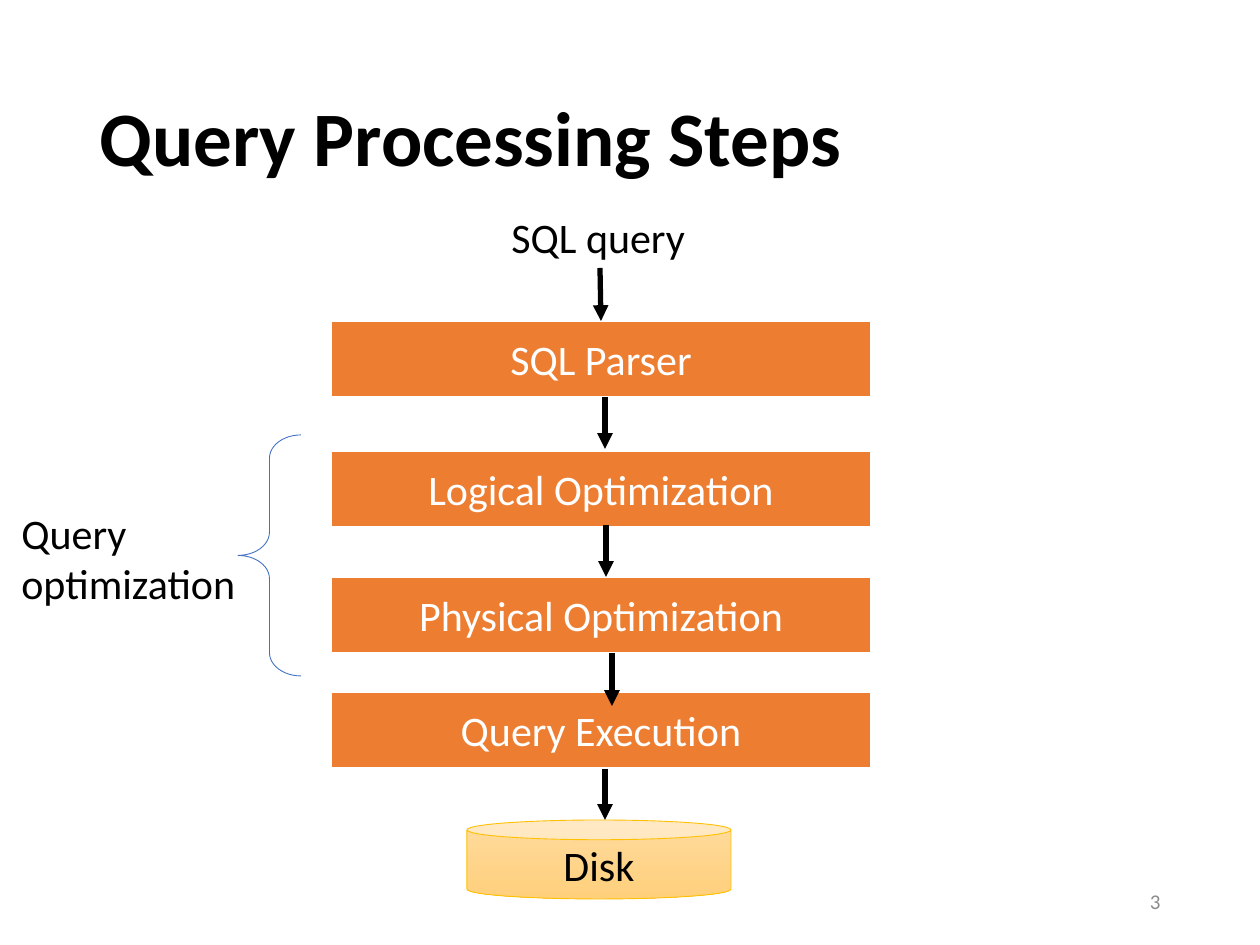
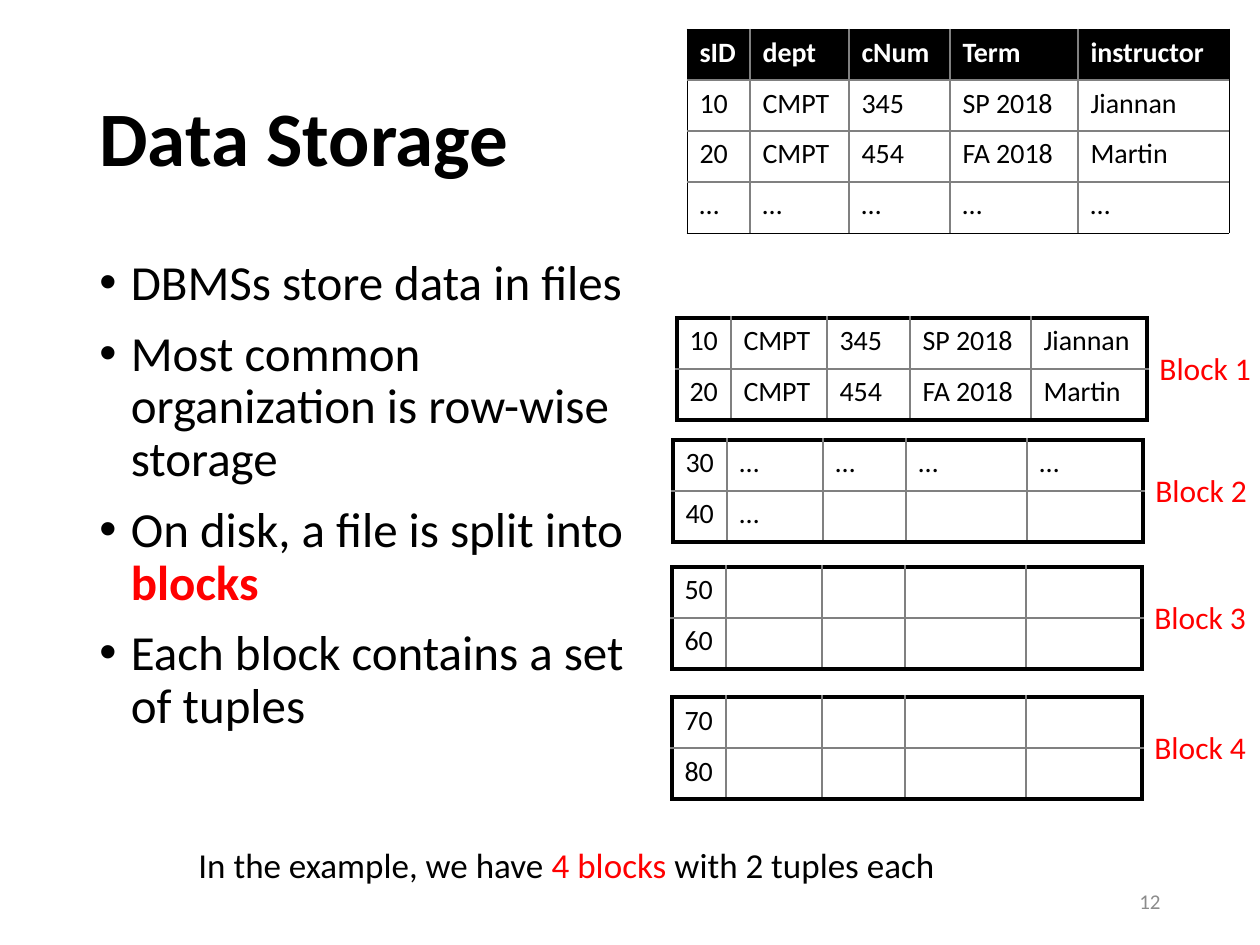
from lxml import etree
from pptx import Presentation
from pptx.dml.color import RGBColor
from pptx.enum.shapes import MSO_CONNECTOR as Connector, MSO_SHAPE as Shape
from pptx.enum.text import MSO_ANCHOR as Anchor, MSO_AUTO_SIZE as AutoSize, PP_ALIGN as Align
from pptx.oxml.ns import qn
from pptx.util import Pt

EMU_PER_PX = 914400 / 126
FONT = "Calibri"
COLORS = {
    "text": "000000", "paper": "FFFFFF", "accent": "FF0000", "number": "8C8C8C",
    "step": "ED7D31", "brace": "4472C4", "grid": "808080",
    "disk_top": "FFDB9E", "disk_bottom": "FFD07C", "disk_edge": "FFC000",
}
STEPS = [("SQL Parser", 321), ("Logical Optimization", 451),
         ("Physical Optimization", 577), ("Query Execution", 692)]
FLOW = [(600, 268, 601, 321), (605, 397, 605, 449), (606, 525, 606, 577),
        (612, 653, 612, 706), (605, 769, 605, 820)]
COURSES = [["sID", "dept", "cNum", "Term", "instructor"],
           ["10", "CMPT", "345", "SP 2018", "Jiannan"],
           ["20", "CMPT", "454", "FA 2018", "Martin"],
           ["…"] * 5]
COURSE_WIDTHS = [63, 99, 101, 128, 151]
BLOCKS = [(677, 318, COURSES[1:3]),
          (673, 440, [["30"] + ["…"] * 4, ["40", "…", "", "", ""]]),
          (672, 567, [["50"] + [""] * 4, ["60"] + [""] * 4]),
          (672, 697, [["70"] + [""] * 4, ["80"] + [""] * 4])]
BLOCK_WIDTHS = [54, 96, 83, 121, 116]
ROW_HEIGHT = 51
# Text between asterisks is highlighted.
POINTS = ["DBMSs store data in files",
          "Most common organization is row-wise storage",
          "On disk, a file is split into *blocks*",
          "Each block contains a set of tuples"]


def px(*lengths):
    """Turn pixel lengths into EMU."""
    return [round(length * EMU_PER_PX) for length in lengths]


def rgb(name):
    """Look up a named colour."""
    return RGBColor.from_string(COLORS[name])


def write(frame, lines, size, color="text", bold=False, align=Align.LEFT, bold_highlight=False):
    """Fill a text frame, one paragraph a line, with highlighted parts."""
    for index, line in enumerate(lines):
        paragraph = frame.add_paragraph() if index else frame.paragraphs[0]
        paragraph.alignment = align
        for part, words in enumerate(line.split("*")):
            if not words:
                continue
            highlighted = part % 2 == 1
            run = paragraph.add_run()
            run.text = words
            run.font.name, run.font.size = FONT, Pt(size)
            run.font.bold = bold or (highlighted and bold_highlight)
            run.font.color.rgb = rgb("accent" if highlighted else color)


def add_text(slide, box, lines, size, anchor=Anchor.TOP, wrap=True, grow=False, **style):
    """Add a text box and return its frame."""
    frame = slide.shapes.add_textbox(*px(*box)).text_frame
    frame.word_wrap = wrap
    frame.auto_size = AutoSize.SHAPE_TO_FIT_TEXT if grow else AutoSize.NONE
    frame.vertical_anchor = anchor
    write(frame, lines, size, **style)
    return frame


def add_label(slide, box, lines, size, **style):
    """Add an unwrapped label that fits its text."""
    add_text(slide, box, lines, size, wrap=False, grow=True, **style)


def add_outlined(slide, kind, box, edge, weight):
    """Add a preset shape with an outline and no shadow."""
    shape = slide.shapes.add_shape(kind, *px(*box))
    shape.shadow.inherit = False
    shape.line.color.rgb = rgb(edge)
    shape.line.width = Pt(weight)
    return shape


def add_step(slide, name, top):
    """Add one processing step."""
    step = add_outlined(slide, Shape.RECTANGLE, (331, top, 540, 76), "paper", 1.5)
    step.fill.solid()
    step.fill.fore_color.rgb = rgb("step")
    step.text_frame.vertical_anchor = Anchor.MIDDLE
    write(step.text_frame, [name], 24, "paper", align=Align.CENTER)


def add_disk(slide):
    """Add the disk as a shaded can."""
    disk = add_outlined(slide, Shape.CAN, (467, 820, 264, 79), "disk_edge", 0.5)
    disk.fill.gradient()
    disk.fill.gradient_angle = 270
    for stop, position, color in zip(disk.fill.gradient_stops, (0, 1), ("disk_top", "disk_bottom")):
        stop.position = position
        stop.color.rgb = rgb(color)
    disk.text_frame.vertical_anchor = Anchor.MIDDLE
    write(disk.text_frame, ["Disk"], 24, align=Align.CENTER)


def add_brace(slide):
    """Add the brace that groups the optimization steps."""
    brace = add_outlined(slide, Shape.LEFT_BRACE, (238, 435, 63, 241), "brace", 0.5)
    brace.fill.background()
    brace.adjustments[0] = 0.37
    brace.adjustments[1] = 0.5


def add_arrow(slide, ends):
    """Add an arrow between two points."""
    arrow = slide.shapes.add_connector(Connector.STRAIGHT, *px(*ends))
    arrow.line.color.rgb = rgb("text")
    arrow.line.width = Pt(3)
    etree.SubElement(arrow.line._get_or_add_ln(), qn("a:tailEnd"), type="triangle")
    etree.SubElement(arrow._element.spPr, qn("a:effectLst"))


def set_borders(cell, borders):
    """Draw the left, right, top and bottom borders of a cell."""
    properties = cell._tc.get_or_add_tcPr()
    for index, (side, (color, weight)) in enumerate(zip("LRTB", borders)):
        line = etree.Element(qn(f"a:ln{side}"), w=str(Pt(weight)))
        fill = etree.SubElement(line, qn("a:solidFill"))
        etree.SubElement(fill, qn("a:srgbClr"), val=COLORS[color])
        properties.insert(index, line)


def add_grid(slide, left, top, rows, widths, frame_weight, header=False):
    """Add a table with a black frame and grey inner lines."""
    box = px(left, top, sum(widths), ROW_HEIGHT * len(rows))
    table = slide.shapes.add_table(len(rows), len(widths), *box).table
    table.first_row = table.horz_banding = False
    for column, width in zip(table.columns, px(*widths)):
        column.width = width
    for r, row in enumerate(rows):
        table.rows[r].height = px(ROW_HEIGHT)[0]
        for c, value in enumerate(row):
            cell = table.cell(r, c)
            is_head = header and r == 0
            if is_head:
                cell.fill.solid()
                cell.fill.fore_color.rgb = rgb("text")
            else:
                cell.fill.background()
            write(cell.text_frame, [value], 16, "paper" if is_head else "text", bold=is_head)
            outer = (c == 0, c == len(row) - 1, r == 0, r == len(rows) - 1)
            set_borders(cell, [("text", frame_weight) if edge else ("grid", 1) for edge in outer])


def add_bullets(slide, box, points):
    """Add the bulleted list."""
    frame = add_text(slide, box, points, 28, bold_highlight=True)
    indent = px(31.5)[0]
    for paragraph in frame.paragraphs:
        paragraph.line_spacing = 0.9
        paragraph.space_before = Pt(10)
        properties = paragraph._p.get_or_add_pPr()
        properties.set("marL", str(indent))
        properties.set("indent", str(-indent))
        etree.SubElement(properties, qn("a:buFont"), typeface="Arial")
        etree.SubElement(properties, qn("a:buChar"), char="•")


def add_slide(deck, title, number):
    """Add a blank slide with its title and page number."""
    slide = deck.slides.add_slide(deck.slide_layouts[6])
    heading = add_text(slide, (87, 50, 1086, 183), [title], 44, Anchor.MIDDLE, bold=True)
    heading.paragraphs[0].line_spacing = 0.9
    add_text(slide, (890, 876, 283, 50), [str(number)], 12, Anchor.MIDDLE,
             color="number", align=Align.RIGHT)
    return slide


def build_processing(deck):
    """Build the query processing slide."""
    slide = add_slide(deck, "Query Processing Steps", 3)
    for name, top in STEPS:
        add_step(slide, name, top)
    add_label(slide, (499, 205, 200, 63), ["SQL query"], 24)
    add_disk(slide)
    add_brace(slide)
    add_label(slide, (9, 501, 242, 115), ["Query", "optimization"], 24)
    for ends in FLOW:
        add_arrow(slide, ends)


def build_storage(deck):
    """Build the data storage slide."""
    slide = add_slide(deck, "Data Storage", 12)
    add_bullets(slide, (87, 252, 551, 600), POINTS)
    add_grid(slide, 687, 29, COURSES, COURSE_WIDTHS, 0.5, header=True)
    for number, (left, top, rows) in enumerate(BLOCKS, 1):
        add_grid(slide, left, top, rows, BLOCK_WIDTHS, 2.25)
        add_label(slide, (left + sum(BLOCK_WIDTHS), top + 25, 118, 50),
                  [f"Block {number}"], 18, color="accent")
    add_text(slide, (186, 837, 835, 55),
             ["In the example, we have *4 blocks *with 2 tuples each"], 20, grow=True)


def main():
    """Build and save the deck."""
    deck = Presentation()
    deck.slide_width, deck.slide_height = px(1260, 945)
    build_processing(deck)
    build_storage(deck)
    deck.save("out.pptx")


main()
